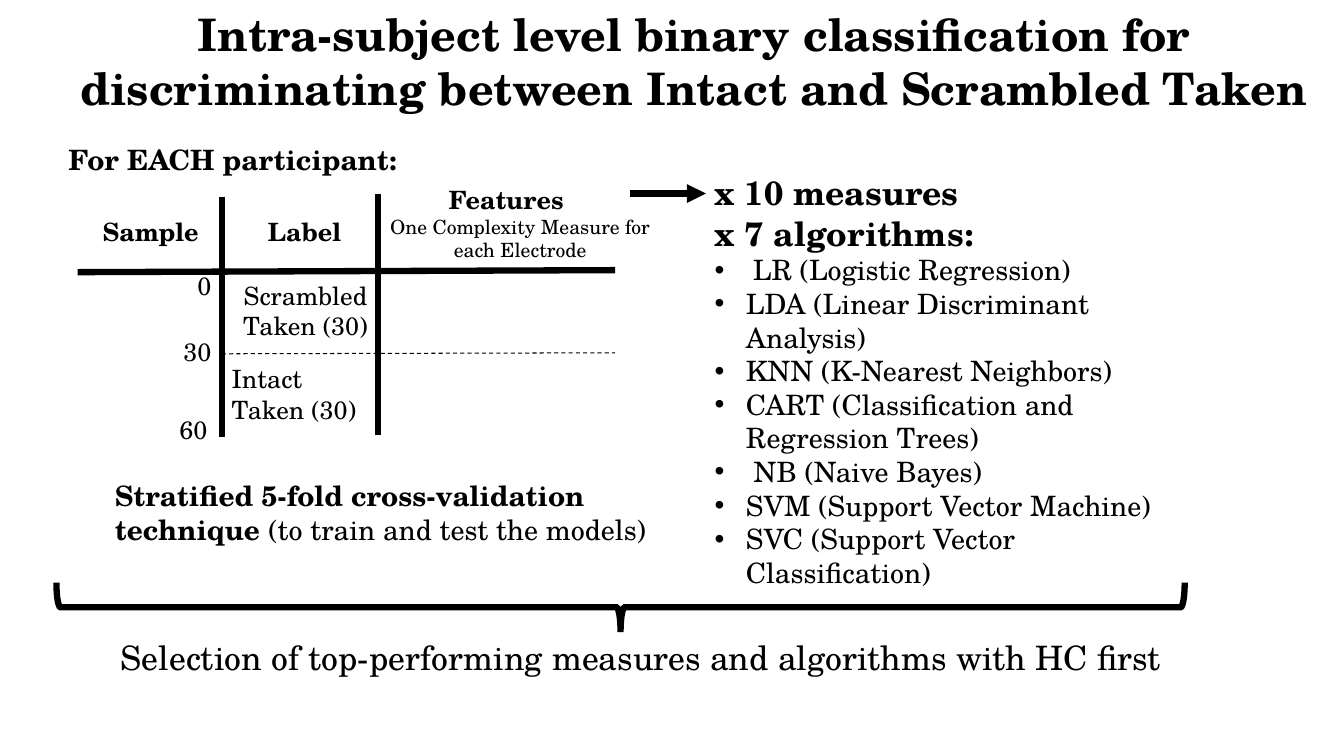
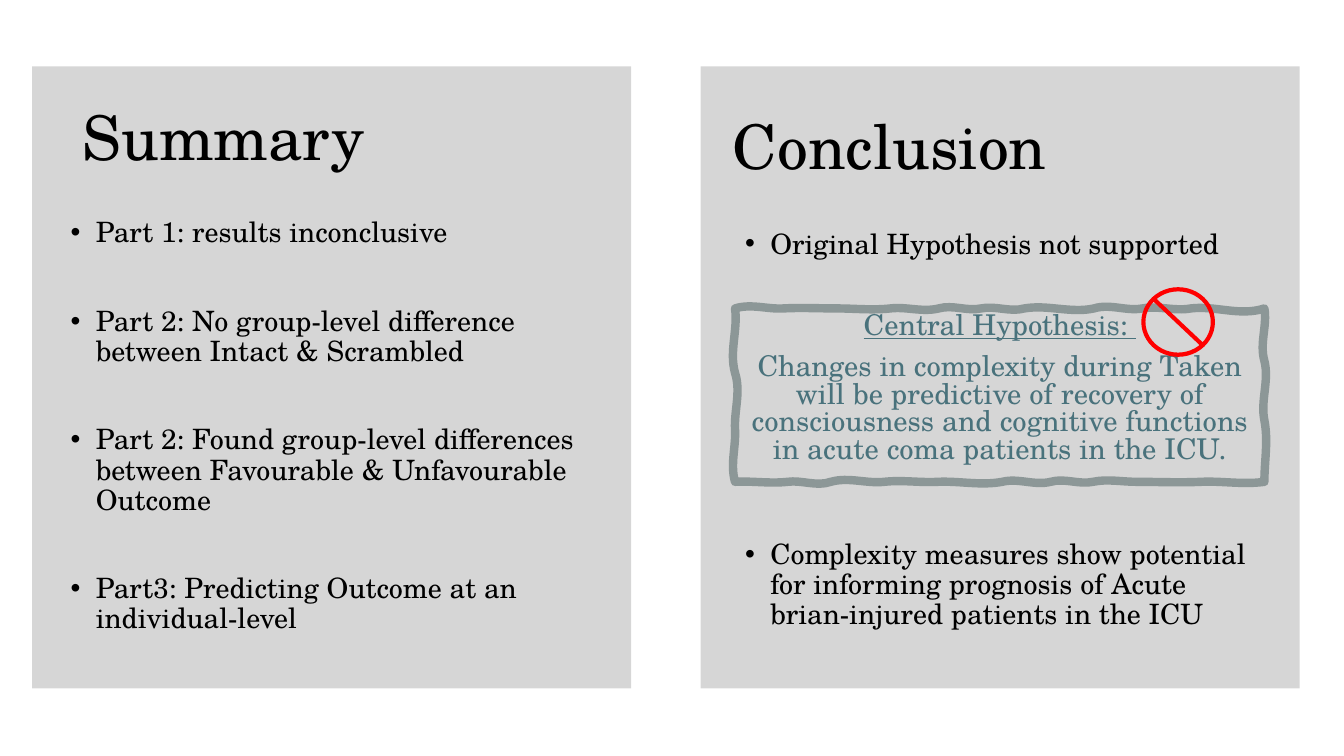
from dataclasses import dataclass

from lxml.etree import SubElement
from pptx import Presentation
from pptx.dml.color import RGBColor
from pptx.enum.dml import MSO_LINE
from pptx.enum.shapes import MSO_CONNECTOR, MSO_SHAPE
from pptx.enum.text import MSO_ANCHOR, MSO_AUTO_SIZE, PP_ALIGN
from pptx.oxml.ns import qn
from pptx.util import Emu, Pt

PX = 9144  # EMU in one px, 100 px to the inch


# Theme: every font, colour and type size
@dataclass(frozen=True)
class Theme:
    font: str = "TeX Gyre Schola"
    ink: str = "000000"
    teal: str = "588894"
    frame: str = "A8B4B5"
    red: str = "FF0000"
    panel_alpha: int = 16
    heading: float = 44
    title: float = 32
    lead: float = 24
    body: float = 20
    quote: float = 20.4
    label: float = 18
    small: float = 14
    heavy: float = 4.5


T = Theme()


@dataclass(frozen=True)
class Para:
    text: str
    size: float = T.body
    bold: bool = False
    underline: bool = False
    color: str = T.ink
    align: PP_ALIGN = PP_ALIGN.LEFT
    spacing: float = 1.0
    before: float = 0
    indent: int = 0  # hanging indent in px; a bullet shows when it is set
    plain_tail: str = ""  # closing words that are not bold


# Lengths and text
def px(*values):
    return [Emu(round(v * PX)) for v in values]


def rgb(value):
    return RGBColor.from_string(value)


def set_all(target, values):
    for name, value in values.items():
        setattr(target, name, value)


def place(shape, box):
    set_all(shape, dict(zip(("left", "top", "width", "height"), px(*box))))


def add_run(p, text, para, bold):
    r = p.add_run()
    r.text = text
    set_all(r.font, {"name": T.font, "size": Pt(para.size), "bold": bold,
                     "underline": para.underline})
    r.font.color.rgb = rgb(para.color)


def add_bullet(p, indent):
    pPr = p._p.get_or_add_pPr()
    pPr.set("marL", str(indent * PX))
    pPr.set("indent", str(-indent * PX))
    SubElement(pPr, qn("a:buFont")).set("typeface", "Arial")
    SubElement(pPr, qn("a:buChar")).set("char", "•")


def write(tf, paras, anchor=MSO_ANCHOR.TOP, wrap=True,
          auto_size=MSO_AUTO_SIZE.NONE):
    set_all(tf, {"word_wrap": wrap, "auto_size": auto_size,
                 "vertical_anchor": anchor})
    for i, para in enumerate(paras):
        p = tf.add_paragraph() if i else tf.paragraphs[0]
        set_all(p, {"alignment": para.align, "line_spacing": para.spacing,
                    "space_before": Pt(para.before)})
        if para.indent:
            add_bullet(p, para.indent)
        add_run(p, para.text, para, para.bold)
        if para.plain_tail:
            add_run(p, para.plain_tail, para, False)


# Kinds of element
def text_box(s, box, *paras, wrap=True, **options):
    shape = s.shapes.add_textbox(*px(*box))
    fit = MSO_AUTO_SIZE.NONE if wrap else MSO_AUTO_SIZE.SHAPE_TO_FIT_TEXT
    write(shape.text_frame, paras, wrap=wrap, auto_size=fit, **options)


def fill_placeholder(shape, box, *paras, **options):
    place(shape, box)
    write(shape.text_frame, paras, **options)
    shape.element.getparent().append(shape.element)  # bring to front


def rule(s, start, end, width=T.heavy, dash=None, arrow=False):
    line = s.shapes.add_connector(MSO_CONNECTOR.STRAIGHT, *px(*start, *end))
    line.line.color.rgb = rgb(T.ink)
    line.line.width = Pt(width)
    if dash:
        line.line.dash_style = dash
    if arrow:
        SubElement(line.get_or_add_ln(), qn("a:tailEnd")).set("type", "triangle")
    SubElement(line.element.spPr, qn("a:effectLst"))


def style_shape(shape, fill=None, line=None, width=T.heavy):
    shape.shadow.inherit = False
    if fill:
        shape.fill.solid()
        shape.fill.fore_color.rgb = rgb(fill)
    else:
        shape.fill.background()
    if line:
        shape.line.color.rgb = rgb(line)
        shape.line.width = Pt(width)
    else:
        shape.line.fill.background()
    return shape


def preset(s, kind, box, **style):
    return style_shape(s.shapes.add_shape(kind, *px(*box)), **style)


def panel(s, left):
    shape = preset(s, MSO_SHAPE.RECTANGLE, (left, 66, 594, 617), fill=T.ink)
    color = shape.fill._xPr.find(qn("a:solidFill"))[0]
    SubElement(color, qn("a:alpha")).set("val", str(T.panel_alpha * 1000))


def wavy_edge(knots, level):
    """Bezier curves along an edge, through knots of (along, pull)."""
    return [[(a + (b - a) / 3, level + pull_a),
             (b - (b - a) / 3, level - pull_b), (b, level)]
            for (a, pull_a), (b, pull_b) in zip(knots, knots[1:])]


def swap_axes(curves):
    return [[(x, y) for y, x in curve] for curve in curves]


def wavy_frame(s, left, top, right, bottom):
    upper = [(left, -5), (777, -1), (830, 0), (883, -2), (931, -4), (973, -3),
             (1016, -4), (1085, -5), (1133, -3), (1181, -3), (right, -8)]
    lower = [(right, 3), (1191, 1), (1127, 0), (1084, 3), (1042, 4), (994, 4),
             (930, 1), (877, 2), (824, 5), (781, 2), (left, 1)]
    right_side = [(top, 3), (358, 5), (417, 4), (bottom, 0)]
    left_side = [(bottom, -5), (426, -1), (370, -6), (top, -3)]
    curves = (wavy_edge(upper, top) + swap_axes(wavy_edge(right_side, right))
              + wavy_edge(lower, bottom) + swap_axes(wavy_edge(left_side, left)))
    builder = s.shapes.build_freeform(*px(left, top), scale=1.0)
    builder.add_line_segments([px(*curve[-1]) for curve in curves], close=True)
    shape = builder.convert_to_shape()
    # Turn each straight segment into its curve
    for segment, curve in zip(list(shape.element.iter(qn("a:lnTo"))), curves):
        segment.tag = qn("a:cubicBezTo")
        segment.remove(segment[0])
        for x, y in curve:
            pt = SubElement(segment, qn("a:pt"))
            for name, value in zip("xy", px(x - left, y - top)):
                pt.set(name, str(int(value)))
    return style_shape(shape, line=T.frame, width=6)


# Slide 1: classification design
def sample_table(s):
    rule(s, (77, 270), (610, 268))
    rule(s, (220, 195), (220, 434))
    rule(s, (375, 192), (375, 432))
    rule(s, (220, 351), (610, 350), width=0.75, dash=MSO_LINE.DASH)
    for text, box in (("Sample", (92, 210, 117, 40)),
                      ("Label", (256, 210, 94, 40))):
        text_box(s, box, Para(text, T.label, bold=True), wrap=False)
    center = PP_ALIGN.CENTER
    text_box(s, (423, 178, 158, 40),
             Para("Features", T.label, bold=True, align=center))
    text_box(s, (366, 208, 300, 57),
             Para("One Complexity Measure for each Electrode", T.small, align=center))
    for text, box in (("0", (186, 263, 41, 40)), ("30", (172, 329, 48, 40)),
                      ("60", (168, 406, 55, 40))):
        text_box(s, box, Para(text, T.label), wrap=False)
    for text, left, top, align in (("Scrambled", 216, 273, center),
                                   ("Intact", 220, 356, PP_ALIGN.LEFT)):
        text_box(s, (left, top, 174, 71),
                 *[Para(line, T.label, align=align) for line in (text, "Taken (30)")])


def classification_slide(prs):
    s = prs.slides.add_slide(prs.slide_layouts.get_by_name("Title Only"))
    fill_placeholder(
        s.shapes.title, (44, 2, 1289, 118),
        Para("Intra-subject level binary classification for discriminating "
             "between Intact and Scrambled Taken",
             T.title, bold=True, align=PP_ALIGN.CENTER))
    text_box(s, (58, 136, 367, 67), Para("For EACH participant:", bold=True))
    sample_table(s)
    text_box(s, (104, 470, 621, 125),
             Para("Stratified 5-fold cross-validation technique ", bold=True,
                  plain_tail="(to train and test the models)"))

    # Measures and algorithms
    rule(s, (625, 192), (700, 192), arrow=True)
    algorithms = ("LDA (Linear Discriminant Analysis)",
                  "KNN (K-Nearest Neighbors)",
                  "CART (Classification and Regression Trees)",
                  " NB (Naive Bayes)",
                  "SVM (Support Vector Machine)",
                  "SVC (Support Vector Classification)")
    text_box(s, (699, 166, 496, 427),
             Para("x 10 measures", T.lead, bold=True),
             Para("x 7 algorithms:", T.lead, bold=True),
             Para("LR (Logistic Regression)", indent=38),
             *[Para(text, indent=31) for text in algorithms])

    # Brace and selection step
    brace = preset(s, MSO_SHAPE.LEFT_BRACE, (591, 43, 49, 1119), line=T.ink)
    brace.rotation = 270
    SubElement(brace.get_or_add_ln(), qn("a:miter")).set("lim", "800000")
    text_box(s, (96, 627, 1079, 50),
             Para("Selection of top-performing measures and algorithms with HC first",
                  T.lead, align=PP_ALIGN.CENTER))


# Slide 2: summary and conclusion
def point(text, before=10):
    return Para(text, spacing=0.9, before=before, indent=25)


def hypothesis(s):
    frame = wavy_frame(s, 729, 306, 1254, 478)
    style = {"size": T.quote, "color": T.teal, "align": PP_ALIGN.CENTER,
             "spacing": 0.8, "before": 10}
    write(frame.text_frame,
          [Para("Central Hypothesis: ", underline=True, **style),
           Para("Changes in complexity during Taken will be predictive of "
                "recovery of consciousness and cognitive functions in acute "
                "coma patients in the ICU.", **style)])


def summary_slide(prs):
    s = prs.slides.add_slide(prs.slide_layouts.get_by_name("Two Content"))
    title, summary, conclusion = list(s.placeholders)[:3]
    hypothesis(s)
    for left in (32, 695):
        panel(s, left)

    # Headings
    middle = MSO_ANCHOR.MIDDLE
    fill_placeholder(title, (72, 67, 378, 145),
                     Para("Summary", T.heading, spacing=0.9), anchor=middle)
    text_box(s, (717, 76, 359, 145),
             Para("Conclusion", T.heading, spacing=0.9), anchor=middle)

    # Lists
    later_points = ("Part 2: No group-level difference between Intact & Scrambled",
                    "Part 2: Found group-level differences between Favourable & "
                    "Unfavourable Outcome",
                    "Part3: Predicting Outcome at an individual-level")
    fill_placeholder(summary, (60, 212, 538, 536),
                     point("Part 1: results inconclusive"),
                     *[point(text, before=41.5) for text in later_points])
    fill_placeholder(conclusion, (729, 223, 526, 536),
                     point("Original Hypothesis not supported"),
                     point("Complexity measures show potential for informing "
                           "prognosis of Acute brian-injured patients in the ICU",
                           before=200))

    # Rejection sign
    sign = preset(s, MSO_SHAPE.NO_SYMBOL, (1133, 286, 71, 67),
                  fill=T.red, line=T.red, width=1.5)
    sign.adjustments[0] = 0.031


def main():
    prs = Presentation()
    prs.slide_width, prs.slide_height = px(1333, 750)
    classification_slide(prs)
    summary_slide(prs)
    prs.save("out.pptx")


if __name__ == "__main__":
    main()
